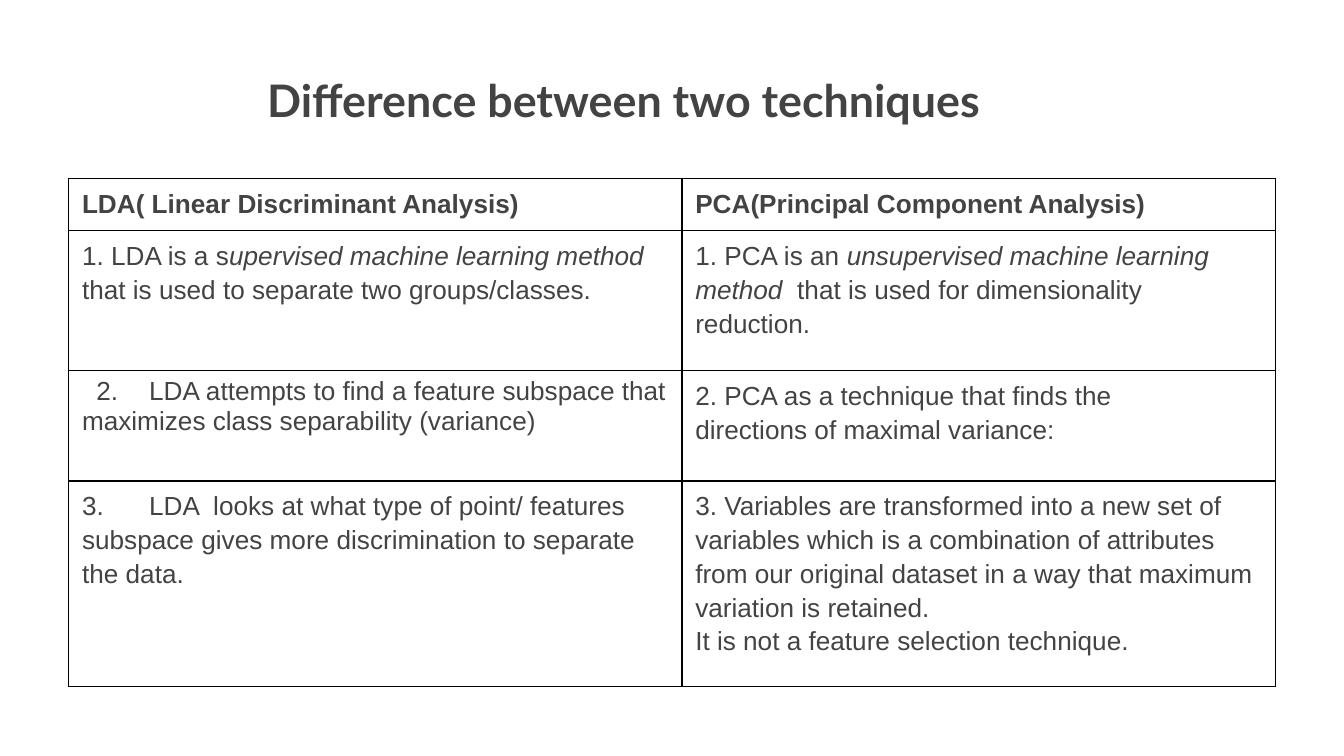
from lxml import etree
from pptx import Presentation
from pptx import util as u
from pptx.dml.color import RGBColor
from pptx.enum import text
from pptx.oxml.ns import qn

COLORS = {"text": "434343", "border": "000000"}
COLUMN_WIDTHS = [11.59, 11.21]
ROW_HEIGHTS = [0.99, 2.64, 2.09, 3.89]

HEADERS = ["LDA( Linear Discriminant Analysis)", "PCA(Principal Component Analysis)"]
LDA_METHOD = [
    ("1. LDA is a s", False),
    ("upervised machine learning method ", True),
    ("that is used to separate two groups/classes.", False),
]
PCA_METHOD = [
    ("1. PCA is an ", False),
    ("unsupervised machine learning method  ", True),
    ("that is used for dimensionality reduction.", False),
]
LDA_GOAL = (
    "2.\tLDA attempts to find a feature subspace that "
    "maximizes class separability (variance)"
)
PCA_GOAL = ["2. PCA as a technique that finds the", "directions of maximal variance:"]
LDA_FEATURES = (
    "3.\tLDA  looks at what type of point/ features subspace "
    "gives more discrimination to separate the data."
)
PCA_FEATURES = (
    "3. Variables are transformed into a new set of variables which is a "
    "combination of attributes from our original dataset in a way that "
    "maximum variation is retained."
)
PCA_NOTE = "It is not a feature selection technique."


def add_run(paragraph, wording, size=14, font="Arial", bold=False, italic=False):
    run = paragraph.add_run()
    run.text = wording
    run.font.size = u.Pt(size)
    run.font.name = font
    run.font.bold = bold
    run.font.italic = italic
    run.font.color.rgb = RGBColor.from_string(COLORS["text"])


def set_tab(paragraph, position, indent=0):
    properties = paragraph._p.get_or_add_pPr()
    properties.set("marL", "0")
    properties.set("indent", str(u.Cm(indent)))
    tabs = etree.SubElement(properties, qn("a:tabLst"))
    etree.SubElement(tabs, qn("a:tab"), pos=str(u.Cm(position)), algn="l")


def set_borders(cell):
    properties = cell._tc.get_or_add_tcPr()
    for index, side in enumerate(("lnL", "lnR", "lnT", "lnB")):
        line = etree.Element(qn(f"a:{side}"), w=str(u.Pt(0.75)))
        fill = etree.SubElement(line, qn("a:solidFill"))
        etree.SubElement(fill, qn("a:srgbClr"), val=COLORS["border"])
        properties.insert(index, line)


def add_title(slide, wording):
    shape = slide.shapes.add_textbox(u.Cm(4.8), u.Cm(1.12), u.Cm(17.53), u.Cm(2.03))
    frame = shape.text_frame
    frame.word_wrap = True
    frame.margin_left = frame.margin_right = u.Cm(0.25)
    frame.margin_top = frame.margin_bottom = u.Cm(0.25)
    add_run(frame.paragraphs[0], wording, size=24, font="Lato", bold=True)


def add_comparison_table(slide):
    shape = slide.shapes.add_table(
        len(ROW_HEIGHTS), len(COLUMN_WIDTHS), u.Cm(1.3), u.Cm(3.37),
        u.Cm(sum(COLUMN_WIDTHS)), u.Cm(sum(ROW_HEIGHTS)),
    )
    table = shape.table
    table.horz_banding = False
    for column, width in zip(table.columns, COLUMN_WIDTHS):
        column.width = u.Cm(width)
    for row, height in zip(table.rows, ROW_HEIGHTS):
        row.height = u.Cm(height)
    for cell in table.iter_cells():
        cell.fill.background()
        cell.vertical_anchor = text.MSO_ANCHOR.TOP
        cell.margin_left = cell.margin_right = u.Cm(0.25)
        cell.margin_top = cell.margin_bottom = u.Cm(0.13)
        cell.text_frame.paragraphs[0].line_spacing = 1.15
        set_borders(cell)
    return table


def fill_table(table):
    def first_paragraph(row, column):
        return table.cell(row, column).text_frame.paragraphs[0]

    for column, header in enumerate(HEADERS):
        add_run(first_paragraph(0, column), header, bold=True)
    for column, runs in enumerate((LDA_METHOD, PCA_METHOD)):
        for wording, italic in runs:
            add_run(first_paragraph(1, column), wording, italic=italic)

    lda_goal = first_paragraph(2, 0)
    lda_goal.line_spacing = 1.0
    set_tab(lda_goal, 0.96, indent=0.27)
    add_run(lda_goal, LDA_GOAL)

    pca_goal = first_paragraph(2, 1)
    add_run(pca_goal, PCA_GOAL[0])
    pca_goal.add_line_break()
    add_run(pca_goal, PCA_GOAL[1])

    lda_features = first_paragraph(3, 0)
    set_tab(lda_features, 0.83)
    add_run(lda_features, LDA_FEATURES)

    add_run(first_paragraph(3, 1), PCA_FEATURES)
    note = table.cell(3, 1).text_frame.add_paragraph()
    note.line_spacing = 1.15
    add_run(note, PCA_NOTE)


def main():
    presentation = Presentation()
    presentation.slide_width = u.Cm(25.4)
    presentation.slide_height = u.Cm(14.29)
    slide = presentation.slides.add_slide(presentation.slide_layouts[6])
    fill_table(add_comparison_table(slide))
    add_title(slide, "Difference between two techniques")
    presentation.save("out.pptx")


if __name__ == "__main__":
    main()
